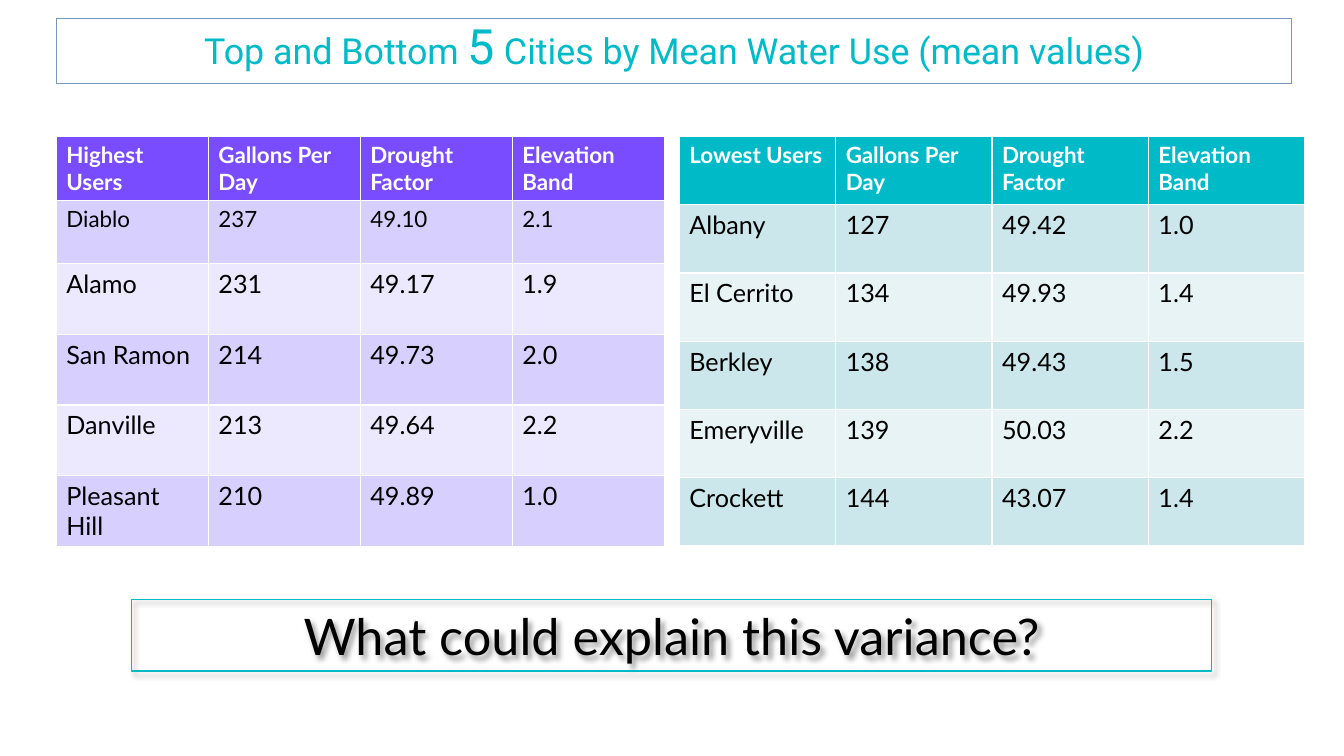
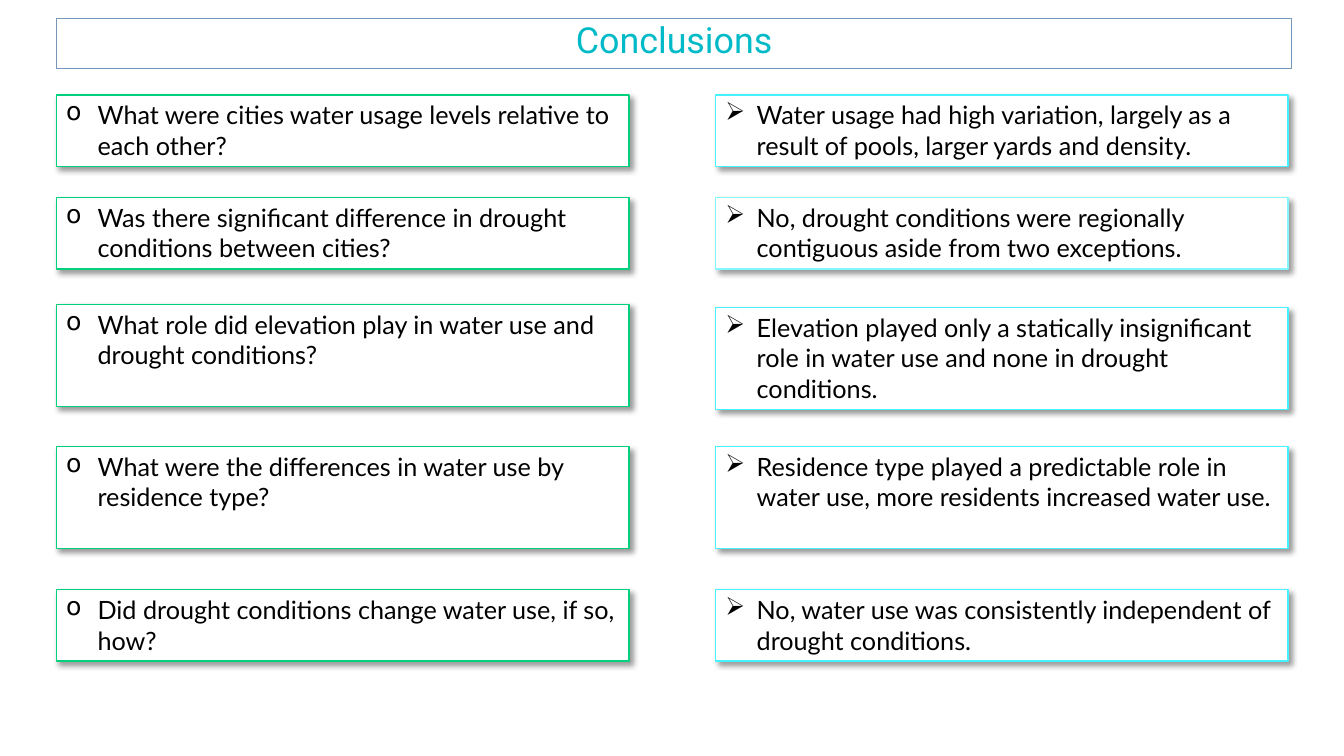
"""Build two slides on city water use: a table comparison and the conclusions."""
from lxml.etree import SubElement
from pptx import Presentation
from pptx.dml.color import RGBColor
from pptx.enum.shapes import MSO_SHAPE
from pptx.enum.text import MSO_ANCHOR, PP_ALIGN
from pptx.oxml.ns import qn
from pptx.util import Cm, Pt

WHITE = RGBColor(0xFF, 0xFF, 0xFF)
BLACK = RGBColor(0x00, 0x00, 0x00)
TEAL = RGBColor(0x00, 0xBA, 0xC8)
STEEL = RGBColor(0x75, 0x97, 0xBA)
GREEN = RGBColor(0x00, 0xD1, 0x7D)
CYAN = RGBColor(0x45, 0xF2, 0xFF)
PALE = RGBColor(0x83, 0xF6, 0xFF)
VIOLET = RGBColor(0x79, 0x4D, 0xFF)
LILAC = RGBColor(0xD7, 0xD0, 0xFF)
MIST = RGBColor(0xEC, 0xE9, 0xFF)
AQUA = RGBColor(0xCC, 0xE7, 0xEB)
ICE = RGBColor(0xE7, 0xF3, 0xF5)

LEFT = 1.42
HEADS = ["Gallons Per Day", "Drought Factor", "Elevation Band"]
HIGH = [
    ["Highest Users", *HEADS],
    ["Diablo", "237", "49.10", "2.1"],
    ["Alamo", "231", "49.17", "1.9"],
    ["San Ramon", "214", "49.73", "2.0"],
    ["Danville", "213", "49.64", "2.2"],
    ["Pleasant Hill", "210", "49.89", "1.0"],
]
LOW = [
    ["Lowest Users", *HEADS],
    ["Albany", "127", "49.42", "1.0"],
    ["El Cerrito", "134", "49.93", "1.4"],
    ["Berkley", "138", "49.43", "1.5"],
    ["Emeryville", "139", "50.03", "2.2"],
    ["Crockett", "144", "43.07", "1.4"],
]
TABLES = [
    (HIGH, LEFT, 3.83, [1.58, 1.6] + [1.78] * 4, [16, 16, 18, 18, 18, 18], VIOLET, LILAC, MIST),
    (LOW, 17.12, 3.94, [1.72] * 6, [16] + [18] * 5, TEAL, AQUA, ICE),
]
POINTS = [
    (2.39, 2.39, 1.8, CYAN,
     "What were cities water usage levels relative to each other?",
     "Water usage had high variation, largely as a result of pools, larger yards and density."),
    (4.98, 4.98, 1.8, PALE,
     "Was there significant difference in drought conditions between cities?",
     "No, drought conditions were regionally contiguous aside from two exceptions."),
    (7.67, 7.75, 2.57, CYAN,
     "What role did elevation play in water use and drought conditions?",
     "Elevation played only a statically insignificant role in water use and none in drought conditions."),
    (11.25, 11.25, 2.57, CYAN,
     "What were the differences in water use by residence type?",
     "Residence type played a predictable role in water use, more residents increased water use."),
    (14.86, 14.86, 1.8, CYAN,
     "Did drought conditions change water use, if so, how?",
     "No, water use was consistently independent of drought conditions."),
]


def add_box(slide, x, y, w, h, edge, width, parts, font, color):
    """Add an outlined, unfilled box whose text is a list of (text, size) runs."""
    box = slide.shapes.add_shape(MSO_SHAPE.RECTANGLE, Cm(x), Cm(y), Cm(w), Cm(h))
    box.shadow.inherit = False
    box.fill.background()
    box.line.color.rgb = edge
    box.line.width = Pt(width)
    frame = box.text_frame
    frame.word_wrap = True
    frame.vertical_anchor = MSO_ANCHOR.MIDDLE
    para = frame.paragraphs[0]
    para.alignment = PP_ALIGN.CENTER
    for text, size in parts:
        run = para.add_run()
        run.text = text
        run.font.name = font
        run.font.size = Pt(size)
        run.font.color.rgb = color
    return box


def add_shadow(box):
    """Cast a soft shadow to the lower right."""
    effects = box._element.spPr.find(qn("a:effectLst"))
    outer = SubElement(effects, qn("a:outerShdw"), blurRad=str(Pt(4)), dist=str(Pt(3)),
                       dir="2700000", algn="tl", rotWithShape="0")
    shade = SubElement(outer, qn("a:srgbClr"), val="000000")
    SubElement(shade, qn("a:alpha"), val="40000")


deck = Presentation()
deck.slide_width, deck.slide_height = Cm(33.87), Cm(19.05)

TITLES = [
    (1.64, [("Top and Bottom ", 25.6), ("5", 34.7), (" Cities by Mean Water Use (mean values)", 25.6)]),
    (1.28, [("Conclusions", 25.6)]),
]
for high, parts in TITLES:
    slide = deck.slides.add_slide(deck.slide_layouts[6])
    title = add_box(slide, LEFT, 0.46, 31.14, high, STEEL, 0.75, parts, "Roboto", TEAL)
    title.text_frame.paragraphs[0].line_spacing = 0.8
first, last = deck.slides

for rows, x, wide, tall, sizes, head, dark, light in TABLES:
    count = len(rows[0])
    table = first.shapes.add_table(len(rows), count, Cm(x), Cm(3.44),
                                   Cm(wide * count), Cm(sum(tall))).table
    for col in table.columns:
        col.width = Cm(wide)
    for r, row in enumerate(rows):
        table.rows[r].height = Cm(tall[r])
        for c, text in enumerate(row):
            cell = table.cell(r, c)
            cell.fill.solid()
            cell.fill.fore_color.rgb = head if r == 0 else dark if r % 2 else light
            cell.text_frame.text = text
            font = cell.text_frame.paragraphs[0].runs[0].font
            font.name = "Lato"
            font.size = Pt(sizes[r])
            font.bold = r == 0
            font.color.rgb = WHITE if r == 0 else BLACK

query = add_box(first, 3.31, 15.11, 27.23, 1.8, TEAL, 0.75,
                [("What could explain this variance?", 36)], "Lato", BLACK)
add_shadow(query)

for top, drop, high, edge, ask, reply in POINTS:
    for x, y, line, mark, text in [(LEFT, top, GREEN, "o", ask), (18.03, drop, edge, "➢", reply)]:
        box = add_box(last, x, y, 14.43, high, line, 1, [(text, 18)], "Lato", BLACK)
        box.fill.solid()
        box.fill.fore_color.rgb = WHITE
        add_shadow(box)
        box.text_frame.vertical_anchor = MSO_ANCHOR.TOP
        para = box.text_frame.paragraphs[0]
        para.alignment = PP_ALIGN.LEFT
        props = para._p.get_or_add_pPr()
        props.set("marL", str(Cm(0.79)))
        props.set("indent", str(-Cm(0.79)))
        SubElement(props, qn("a:buChar"), char=mark)

deck.save("out.pptx")
